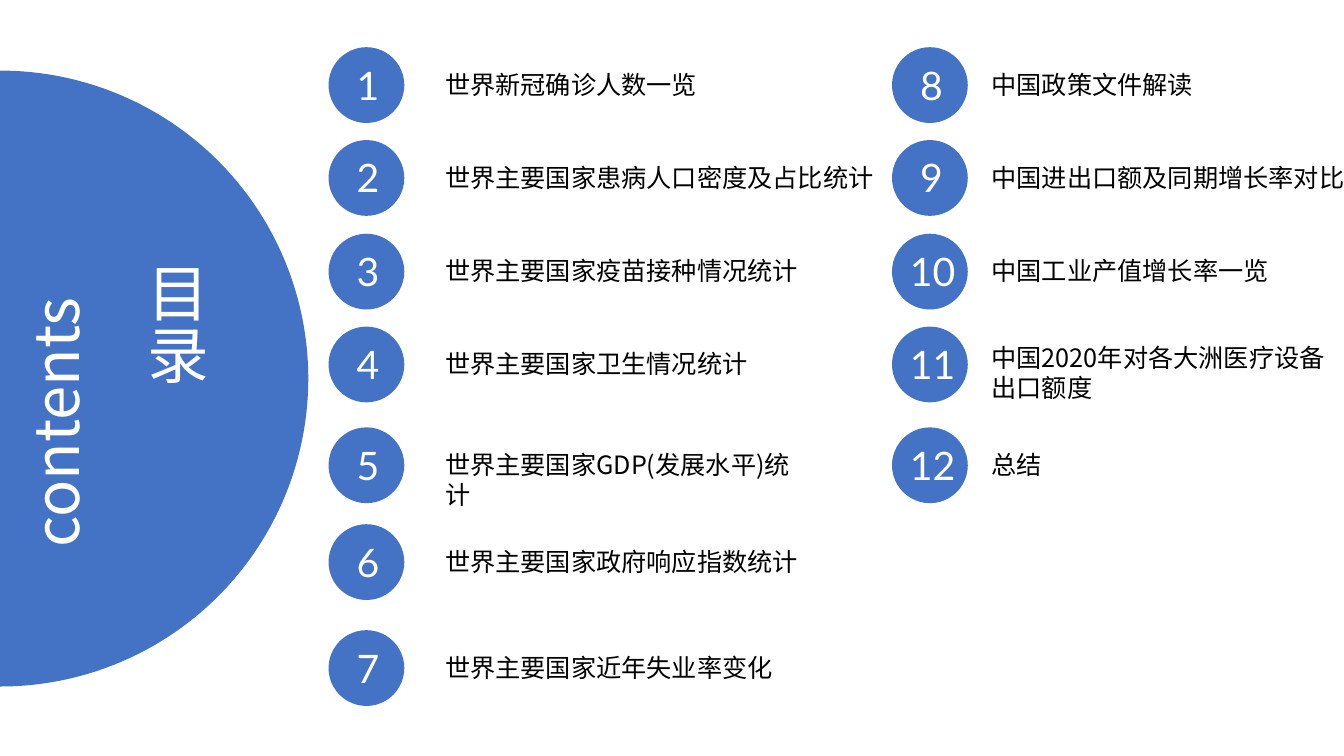
import pptx
import pptx.util
import pptx.dml.color
import pptx.enum.shapes
import pptx.enum.text
import pptx.oxml.ns
import lxml.etree

Cm = pptx.util.Cm
Pt = pptx.util.Pt
RGBColor = pptx.dml.color.RGBColor
ALIGN = pptx.enum.text.PP_ALIGN

BLUE = RGBColor(0x44, 0x72, 0xC4)
WHITE = RGBColor(0xFF, 0xFF, 0xFF)
BLACK = RGBColor(0x00, 0x00, 0x00)

HEADING = {"name": "Noto Sans CJK SC", "size": Pt(44), "color": WHITE}
NUMBER = {"name": "Lato", "size": Pt(28), "color": WHITE}
TOPIC = {"name": "Noto Sans CJK SC", "size": Pt(18), "color": BLACK}
FRAME = {
    "word_wrap": True,
    "vertical_anchor": pptx.enum.text.MSO_ANCHOR.TOP,
    "auto_size": pptx.enum.text.MSO_AUTO_SIZE.SHAPE_TO_FIT_TEXT,
}

# Row tops and sizes in cm
ROW_TOPS = [1.19, 3.53, 5.89, 8.23, 10.77, 13.21, 15.88]
DISC = 1.91
LINE_HEIGHT = 1.02
TWO_LINE_HEIGHT = 1.8

WORLD_TOPICS = [
    "世界新冠确诊人数一览",
    "世界主要国家患病人口密度及占比统计",
    "世界主要国家疫苗接种情况统计",
    "世界主要国家卫生情况统计",
    "世界主要国家GDP(发展水平)统计",
    "世界主要国家政府响应指数统计",
    "世界主要国家近年失业率变化",
]
WORLD_WIDTHS = [7.21, 11.71, 9.53, 8.28, 9.73, 9.53, 8.79]
CHINA_TOPICS = [
    "中国政策文件解读",
    "中国进出口额及同期增长率对比",
    "中国工业产值增长率一览",
    "中国2020年对各大洲医疗设备出口额度",
    "总结",
]
CHINA_WIDTHS = [5.74, 9.4, 9.4, 9.4, 9.4]
CHINA_TWO_LINE = {3}


def write(holder, text, style, align=ALIGN.LEFT, vertical=False):
    """Fill a text holder with one styled paragraph."""
    frame = holder.text_frame
    for attribute, value in FRAME.items():
        setattr(frame, attribute, value)
    if vertical:
        frame._txBody.bodyPr.set("vert", "eaVert")
    paragraph = frame.paragraphs[0]
    paragraph.alignment = align
    run = paragraph.add_run()
    run.text = text
    for attribute in ("name", "size"):
        setattr(run.font, attribute, style[attribute])
    run.font.color.rgb = style["color"]
    east_asian = lxml.etree.SubElement(run.font._element, pptx.oxml.ns.qn("a:ea"))
    east_asian.set("typeface", style["name"])


def add_disc(shapes, left, top, size):
    disc = shapes.add_shape(pptx.enum.shapes.MSO_SHAPE.OVAL,
                            Cm(left), Cm(top), Cm(size), Cm(size))
    disc.shadow.inherit = False
    disc.fill.solid()
    disc.fill.fore_color.rgb = BLUE
    disc.line.fill.background()
    return disc


def add_label(shapes, left, top, width, height, text, style):
    label = shapes.add_textbox(Cm(left), Cm(top), Cm(width), Cm(height))
    write(label, text, style)


def add_heading_panel(slide, left, top, size):
    """Large disc running off the left edge, with the two vertical headings."""
    add_disc(slide.shapes, left, top, size)

    # Title, brought in front of the disc
    title = slide.shapes.title
    place = {"left": left + 10.98, "top": top + 4.7, "width": 2.39, "height": 6.1}
    for attribute, value in place.items():
        setattr(title, attribute, Cm(value))
    write(title, "目录", HEADING, ALIGN.JUSTIFY, vertical=True)
    slide.shapes._spTree.append(title._element)

    # Subtitle, reading upwards
    subtitle = slide.shapes.add_textbox(Cm(left + 8.08), Cm(top + 3.2), Cm(2.39), Cm(9.07))
    subtitle.rotation = 180
    write(subtitle, "contents", HEADING, ALIGN.JUSTIFY, vertical=True)


def add_topic_column(slide, left, topic_left, first, topics, widths, two_line=()):
    """Numbered discs at left, each grouped with its topic at topic_left."""
    for row, (topic, width) in enumerate(zip(topics, widths)):
        top = ROW_TOPS[row]
        number = str(first + row)
        shapes = slide.shapes.add_group_shape().shapes
        add_disc(shapes, left, top, DISC)

        inset, number_width = (0.46, 0.99) if len(number) == 1 else (0.2, 1.8)
        add_label(shapes, left + inset, top + 0.22, number_width, 1.45, number, NUMBER)

        height = TWO_LINE_HEIGHT if row in two_line else LINE_HEIGHT
        topic_top = top + (0.27 if row in two_line else 0.43)
        add_label(shapes, topic_left, topic_top, width, height, topic, TOPIC)


def main():
    deck = pptx.Presentation()
    deck.slide_width, deck.slide_height = Cm(33.87), Cm(19.05)
    slide = deck.slides.add_slide(deck.slide_layouts[5])
    add_heading_panel(slide, -7.75, 1.78, 15.52)
    add_topic_column(slide, 8.28, 10.97, 1, WORLD_TOPICS, WORLD_WIDTHS)
    add_topic_column(slide, 22.48, 24.74, 8, CHINA_TOPICS, CHINA_WIDTHS, CHINA_TWO_LINE)
    deck.save("out.pptx")


if __name__ == "__main__":
    main()
